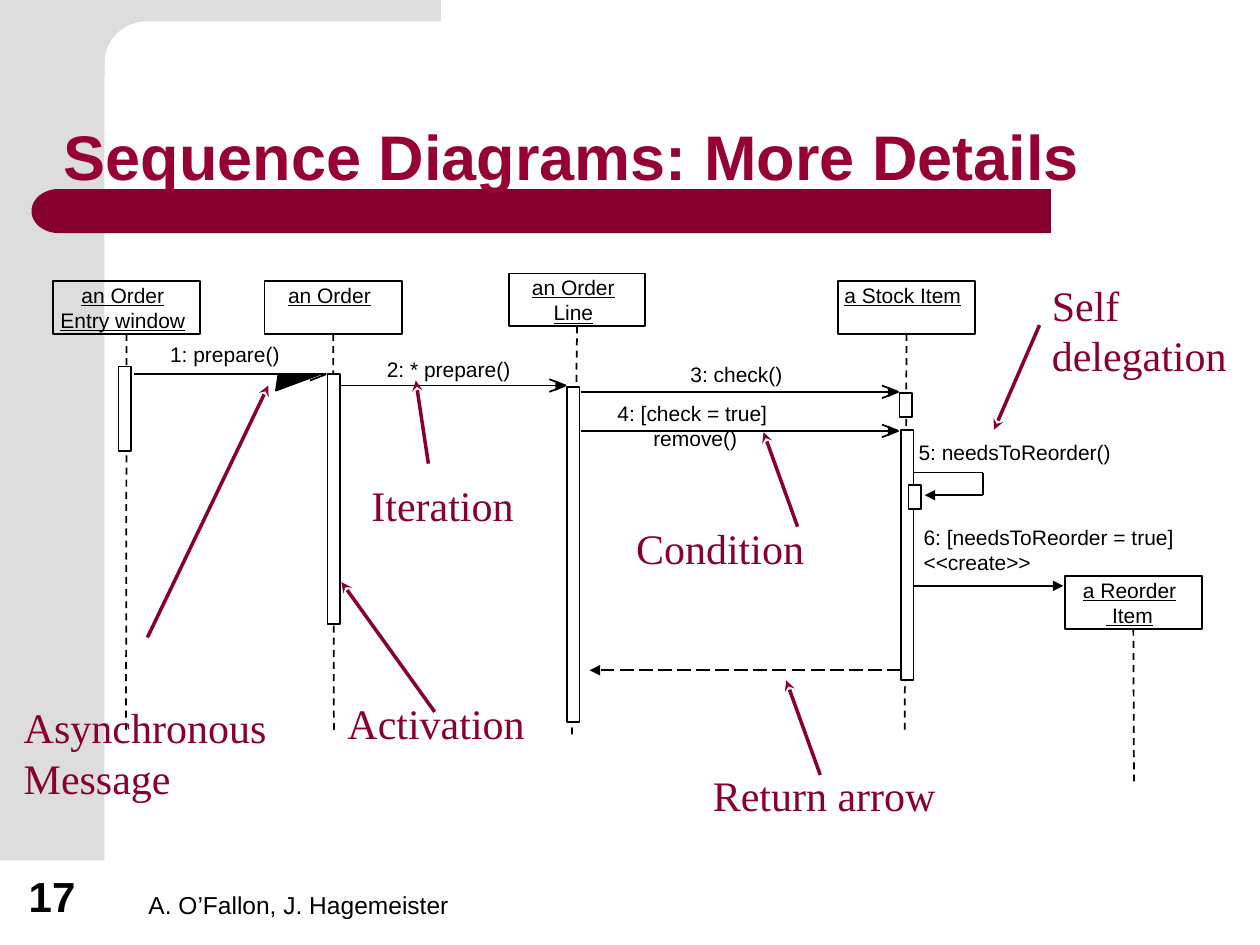
import math
from dataclasses import dataclass
from typing import Optional

import pptx
import pptx.dml.color
import pptx.enum.dml
import pptx.enum.shapes
import pptx.enum.text
import pptx.oxml
import pptx.oxml.ns
import pptx.util

RGBColor = pptx.dml.color.RGBColor
Shape = pptx.enum.shapes.MSO_SHAPE
Anchor = pptx.enum.text.MSO_ANCHOR
Align = pptx.enum.text.PP_ALIGN
Dash = pptx.enum.dml.MSO_LINE

BLACK = RGBColor(0x00, 0x00, 0x00)
WHITE = RGBColor(0xFF, 0xFF, 0xFF)
INK = RGBColor(0x02, 0x00, 0x00)
GREY = RGBColor(0xDD, 0xDD, 0xDD)
WINE = RGBColor(0x86, 0x00, 0x2D)
TITLE_RED = RGBColor(0x96, 0x00, 0x32)

# The slide is a grid of 100 columns by 75 rows.
WIDTH, HEIGHT = pptx.util.Inches(10), pptx.util.Inches(7.5)
COLUMN, ROW = WIDTH / 100, HEIGHT / 75
HEAD_HEIGHT = 4.2
BAR_WIDTH = 1


def grid(column: float, row: float) -> tuple[int, int]:
    return round(column * COLUMN), round(row * ROW)


@dataclass(frozen=True)
class Style:
    size: float
    color: RGBColor
    font: str = "Arial"
    bold: bool = False
    underline: bool = False


@dataclass(frozen=True)
class Lifeline:
    """A named head with a dashed line and its (left, top, height) activations."""
    lines: tuple[str, ...]
    left: float
    top: float
    width: float
    end: tuple[float, float]
    activations: tuple[tuple[float, float, float], ...] = ()


@dataclass(frozen=True)
class Arrow:
    start: tuple[float, float]
    end: tuple[float, float]
    head: Optional[str] = "triangle"
    barbs: tuple[float, ...] = ()
    dash: Optional[Dash] = None


@dataclass(frozen=True)
class Label:
    lines: tuple[str, ...]
    left: float
    top: float
    width: float
    height: float
    align: Align = Align.LEFT


@dataclass(frozen=True)
class Callout:
    label: Label
    start: tuple[float, float]
    end: tuple[float, float]


NAME = Style(12, INK, underline=True)
MESSAGE = Style(12, INK)
REMARK = Style(24, WINE, "Times New Roman")

LIFELINES = (
    Lifeline(("an Order", "Entry window"), 4.2, 22.3, 11.7, (10, 58.3), ((9.4, 29.1, 6.7),)),
    Lifeline(("an Order",), 21, 22.3, 10.9, (26.5, 58.3), ((26, 29.7, 19.8),)),
    Lifeline(("an Order", "Line"), 40.4, 21.7, 10.8, (45.4, 58.5), ((45, 30.7, 26.6),)),
    Lifeline(("a Stock Item",), 66.5, 22.3, 10.9, (71.8, 58.1),
             ((71.4, 31.2, 1.9), (71.5, 34.1, 19.9), (72.1, 38.5, 1.9))),
    Lifeline(("a Reorder", " Item"), 84.5, 45.7, 10.9, (90, 62.3)),
)
OPEN = (-0.5, 0.5)
ARROWS = (
    Arrow((10.6, 29.7), (25.9, 29.7), None, (0.5,)),
    Arrow((27.1, 30.6), (44.9, 30.6), barbs=OPEN),
    Arrow((46.1, 31.1), (71.3, 31.1), barbs=OPEN),
    Arrow((46.1, 34.2), (71.3, 34.2), barbs=OPEN),
    Arrow((72.5, 37.5), (78, 37.5), None),
    Arrow((78, 37.5), (78, 39.3), None),
    Arrow((78, 39.3), (73.4, 39.3)),
    Arrow((72.5, 46.5), (84.4, 46.5)),
    Arrow((71.5, 53.2), (46.8, 53.2), dash=Dash.LONG_DASH),
)
MESSAGES = (
    Label(("1: prepare()",), 13.5, 27.1, 10, 2),
    Label(("2: * prepare()",), 30.7, 28.3, 11, 2),
    Label(("3: check()",), 54.8, 28.7, 9, 2),
    Label(("4: [check = true]", " remove()"), 48.5, 31.8, 12.9, 4, Align.CENTER),
    Label(("5: needsToReorder()",), 72.9, 34.9, 17, 2),
    Label(("6: [needsToReorder = true]", "<<create>>"), 73.3, 41.6, 22, 4),
)
CALLOUTS = (
    Callout(Label(("Iteration",), 28.5, 37.6, 14, 5), (34, 36.8), (33, 30.2)),
    Callout(Label(("Condition",), 49.5, 41, 16, 5), (63.3, 41.8), (60.6, 34.3)),
    Callout(Label(("Self", "delegation"), 82.5, 21.7, 17, 9), (82.5, 25.8), (78.9, 34.1)),
    Callout(Label(("Asynchronous", "Message"), 0.9, 55.2, 22, 9), (11.7, 50.6), (21.3, 30.6)),
    Callout(Label(("Activation",), 26.6, 54.9, 17, 5), (34.5, 56.5), (27.1, 46.2)),
    Callout(Label(("Return arrow",), 55.6, 60.6, 21, 5), (65.1, 61.5), (62.4, 54)),
)


def paint(shape, fill: Optional[RGBColor], outlined: bool = False):
    shape.shadow.inherit = False
    if fill is None:
        shape.fill.background()
    else:
        shape.fill.solid()
        shape.fill.fore_color.rgb = fill
    if outlined:
        shape.line.color.rgb = BLACK
        shape.line.width = pptx.util.Pt(1)
    else:
        shape.line.fill.background()
    return shape


def add_block(page, kind: Shape, left, top, width, height, fill=None, outlined=False):
    block = page.shapes.add_shape(kind, *grid(left, top), *grid(width, height))
    return paint(block, fill, outlined)


def add_outline(page, points, outlined: bool, fill: RGBColor) -> None:
    corners = [grid(*point) for point in points]
    builder = page.shapes.build_freeform(*corners[0])
    builder.add_line_segments(corners[1:], close=True)
    paint(builder.convert_to_shape(), fill, outlined)


def add_line(page, start, end, color=BLACK, width=1, head=None, dash=None):
    line = page.shapes.add_connector(
        pptx.enum.shapes.MSO_CONNECTOR.STRAIGHT, *grid(*start), *grid(*end))
    line.line.color.rgb = color
    line.line.width = pptx.util.Pt(width)
    if dash is not None:
        line.line.dash_style = dash
    properties = line._element.spPr
    if head:
        tail = pptx.oxml.parse_xml(f'<a:tailEnd {pptx.oxml.ns.nsdecls("a")} type="{head}"/>')
        properties.find(pptx.oxml.ns.qn("a:ln")).append(tail)
    properties.append(pptx.oxml.parse_xml(f'<a:effectLst {pptx.oxml.ns.nsdecls("a")}/>'))
    return line


def write_lines(frame, lines, style: Style, align=Align.LEFT, spacing=None) -> None:
    for index, words in enumerate(lines):
        para = frame.paragraphs[0] if index == 0 else frame.add_paragraph()
        para.alignment = align
        para.line_spacing = spacing
        span = para.add_run()
        span.text = words
        span.font.name, span.font.size = style.font, pptx.util.Pt(style.size)
        span.font.bold, span.font.underline = style.bold, style.underline
        span.font.color.rgb = style.color


def set_insets(frame, left: float, top: float, right: float, bottom: float) -> None:
    frame.margin_left, frame.margin_top = grid(left, top)
    frame.margin_right, frame.margin_bottom = grid(right, bottom)


def add_label(page, label: Label, style: Style, inset: float = 0) -> None:
    """Add text with inset as the side margin and half of it above and below."""
    box = page.shapes.add_textbox(*grid(label.left, label.top), *grid(label.width, label.height))
    frame = box.text_frame
    set_insets(frame, inset, inset / 2, inset, inset / 2)
    frame.word_wrap = True
    write_lines(frame, label.lines, style, label.align)


def add_bottom_text(page, words, left, top, width, height, style, spacing=None) -> None:
    box = page.shapes.add_textbox(*grid(left, top), *grid(width, height))
    box.text_frame.word_wrap = True
    box.text_frame.vertical_anchor = Anchor.BOTTOM
    write_lines(box.text_frame, (words,), style, spacing=spacing)


def add_frame(page) -> None:
    add_block(page, Shape.RECTANGLE, 0, 0, 8.3, 68.3, GREY)
    arc = [(11.6 - 3.3 * math.sin(angle), 5 - 3.3 * math.cos(angle))
           for angle in (math.pi / 2 * step / 16 for step in range(17))]
    add_outline(page, [(5, 0), (35, 0), (35, 1.7), *arc, (8.3, 6.1), (5, 6.1)], False, GREY)
    add_block(page, Shape.RECTANGLE, 6.7, 15, 76.7, 3.5, WINE)
    add_block(page, Shape.FLOWCHART_DELAY, 2.5, 15, 4.3, 3.5, WINE).rotation = 180
    add_bottom_text(page, "A. O’Fallon, J. Hagemeister", 10.8, 68.3, 37.5, 5.2, Style(14, BLACK))
    add_bottom_text(page, "17", 1.3, 68.3, 6.4, 5.3, Style(24, BLACK, bold=True))
    add_bottom_text(page, "Sequence Diagrams: More Details", 4.1, 5, 91.7, 10.9,
                    Style(36, TITLE_RED, bold=True), 0.9)


def add_lifeline(page, item: Lifeline) -> None:
    head = add_block(page, Shape.RECTANGLE, item.left, item.top, item.width, HEAD_HEIGHT,
                     outlined=True)
    set_insets(head.text_frame, 0, 0.1, 0.6, 0)
    head.text_frame.vertical_anchor = Anchor.TOP
    write_lines(head.text_frame, item.lines, NAME, Align.CENTER)
    start = (item.left + item.width / 2, item.top + HEAD_HEIGHT)
    add_line(page, start, item.end, dash=Dash.DASH).begin_connect(head, 2)
    for left, top, height in item.activations:
        add_block(page, Shape.RECTANGLE, left, top, BAR_WIDTH, height, WHITE, True)


def add_arrow(page, arrow: Arrow) -> None:
    add_line(page, arrow.start, arrow.end, head=arrow.head, dash=arrow.dash)
    column, row = arrow.end
    for rise in arrow.barbs:
        add_line(page, arrow.end, (column - 1.3, row + rise))


def main() -> None:
    deck = pptx.Presentation()
    deck.slide_width, deck.slide_height = WIDTH, HEIGHT
    page = deck.slides.add_slide(deck.slide_layouts[6])
    add_frame(page)
    for item in LIFELINES:
        add_lifeline(page, item)
    for arrow in ARROWS:
        add_arrow(page, arrow)
    add_outline(page, [(22.1, 29.7), (25.4, 29.7), (21.9, 31)], True, BLACK)
    for label in MESSAGES:
        add_label(page, label, MESSAGE)
    for callout in CALLOUTS:
        add_label(page, callout.label, REMARK, 1)
        add_line(page, callout.start, callout.end, WINE, 2, "stealth")
    deck.save("out.pptx")


if __name__ == "__main__":
    main()
